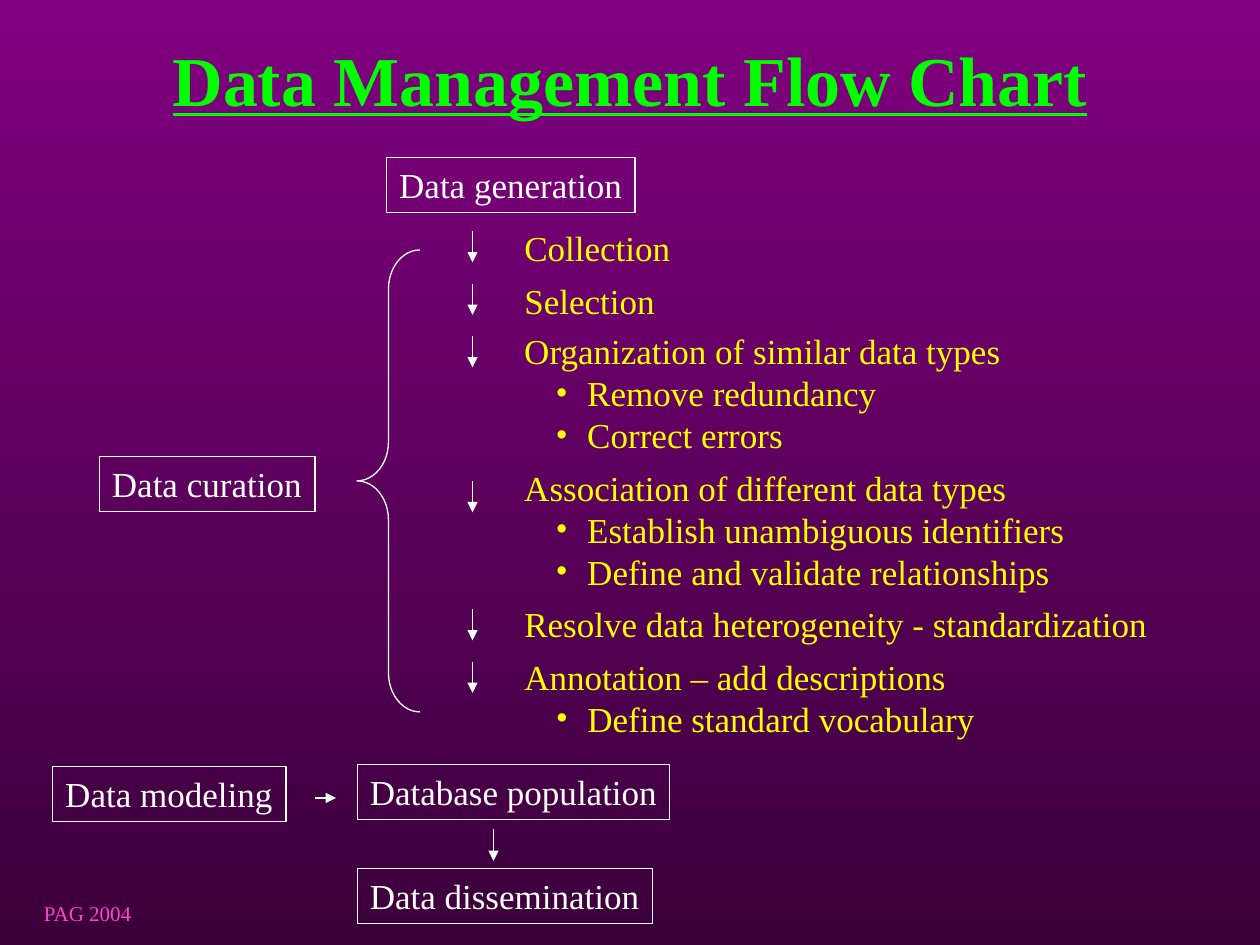
from typing import NamedTuple

from pptx import Presentation
from pptx.dml.color import RGBColor
from pptx.enum.shapes import MSO_CONNECTOR, MSO_SHAPE
from pptx.enum.text import MSO_ANCHOR, MSO_AUTO_SIZE, PP_ALIGN
from pptx.oxml.ns import qn
from pptx.util import Inches, Length, Pt
from lxml.etree import SubElement

WHITE = RGBColor(0xFF, 0xFF, 0xFF)
YELLOW = RGBColor(0xFF, 0xFF, 0x00)
GREEN = RGBColor(0x00, 0xFF, 0x00)
PINK = RGBColor(0xFF, 0x45, 0xCE)
PURPLE = RGBColor(0x80, 0x00, 0x80)
DARK_PURPLE = RGBColor(0x3B, 0x00, 0x3B)

COLUMNS, ROWS = 120, 90
CELL = Inches(10) // COLUMNS
BOX_HEIGHT = 5.25
LINE_HEIGHT = 4
STEP_COLUMN = 48.75
ARROW_COLUMN = 45
ARROW_LENGTH = 3
LINE_WIDTH = Pt(0.75)

FONT = "Times New Roman"
BODY = {"name": FONT, "size": Pt(20)}
TITLE = BODY | {"size": Pt(40), "bold": True, "underline": True}
FOOTER = BODY | {"size": Pt(12)}


class Box(NamedTuple):
    text: str
    column: float
    row: float
    width: float


class Step(NamedTuple):
    text: str
    row: float
    width: float
    arrow_row: float
    details: tuple[str, ...] = ()


class Arrow(NamedTuple):
    column: float
    row: float
    across: float = 0
    down: float = 0


BOXES = [
    Box("Data generation", 36.84, 15, 23.64),
    Box("Data curation", 9.48, 43.5, 20.52),
    Box("Data modeling", 5.03, 73, 22.2),
    Box("Database population", 34.04, 72.8, 29.76),
    Box("Data dissemination", 34.04, 82.68, 28.08),
]
STEPS = [
    Step("Collection", 21, 16.4, 22),
    Step("Selection", 26, 15.7, 27),
    Step("Organization of similar data types", 30.8, 48, 32,
         ("Remove redundancy", "Correct errors")),
    Step("Association of different data types", 43.8, 55, 45.8,
         ("Establish unambiguous identifiers", "Define and validate relationships")),
    Step("Resolve data heterogeneity - standardization", 56.76, 62, 58),
    Step("Annotation – add descriptions", 61.8, 46.5, 63,
         ("Define standard vocabulary",)),
]
ARROWS = [Arrow(ARROW_COLUMN, step.arrow_row, down=ARROW_LENGTH) for step in STEPS] + [
    Arrow(30, 76, across=2),
    Arrow(47, 79, down=ARROW_LENGTH),
]


def grid(*cells: float) -> list[Length]:
    """Turn grid cells into lengths."""
    return [Length(round(cell * CELL)) for cell in cells]


def write(paragraph, text: str, color: RGBColor, formats: dict) -> None:
    """Add one formatted run to a paragraph."""
    run = paragraph.add_run()
    run.text = text
    for name, value in formats.items():
        setattr(run.font, name, value)
    run.font.color.rgb = color


def add_bullet(paragraph) -> None:
    """Give a paragraph a hanging bullet."""
    properties = paragraph._p.get_or_add_pPr()
    properties.set("marL", str(Inches(0.5)))
    properties.set("indent", str(-Inches(0.25)))
    SubElement(properties, qn("a:buFont")).set("typeface", FONT)
    SubElement(properties, qn("a:buChar")).set("char", "•")


def add_text(slide, text: str, place: list[Length], color: RGBColor, formats: dict):
    """Add a text box that fits its single line."""
    shape = slide.shapes.add_textbox(*place)
    frame = shape.text_frame
    frame.word_wrap = False
    frame.auto_size = MSO_AUTO_SIZE.SHAPE_TO_FIT_TEXT
    write(frame.paragraphs[0], text, color, formats)
    return shape


def outline(shape) -> None:
    """Draw a thin white line."""
    shape.line.color.rgb = WHITE
    shape.line.width = LINE_WIDTH


def add_title(slide) -> None:
    """Add the centred heading."""
    shape = add_text(slide, "Data Management Flow Chart", grid(0, 0, COLUMNS, 15), GREEN, TITLE)
    frame = shape.text_frame
    for name, value in {"word_wrap": True, "auto_size": MSO_AUTO_SIZE.NONE,
                        "vertical_anchor": MSO_ANCHOR.MIDDLE}.items():
        setattr(frame, name, value)
    frame.paragraphs[0].alignment = PP_ALIGN.CENTER


def add_box(slide, box: Box) -> None:
    """Add an outlined stage of the flow."""
    place = grid(box.column, box.row, box.width, BOX_HEIGHT)
    outline(add_text(slide, box.text, place, WHITE, BODY))


def add_step(slide, step: Step) -> None:
    """Add a curation step with its bulleted details."""
    height = BOX_HEIGHT + LINE_HEIGHT * len(step.details)
    place = grid(STEP_COLUMN, step.row, step.width, height)
    shape = add_text(slide, step.text, place, YELLOW, BODY)
    for detail in step.details:
        paragraph = shape.text_frame.add_paragraph()
        paragraph.level = 1
        add_bullet(paragraph)
        write(paragraph, detail, YELLOW, BODY)


def add_arrow(slide, arrow: Arrow) -> None:
    """Add a straight arrow."""
    ends = grid(arrow.column, arrow.row, arrow.column + arrow.across, arrow.row + arrow.down)
    connector = slide.shapes.add_connector(MSO_CONNECTOR.STRAIGHT, *ends)
    outline(connector)
    SubElement(connector.line._get_or_add_ln(), qn("a:tailEnd")).set("type", "triangle")
    SubElement(connector._element.spPr, qn("a:effectLst"))


def add_brace(slide) -> None:
    """Add the brace that groups the curation steps."""
    brace = slide.shapes.add_shape(MSO_SHAPE.LEFT_BRACE, *grid(34, 23.8, 6, 44))
    brace.adjustments[0] = 0.62
    brace.shadow.inherit = False
    brace.fill.background()
    outline(brace)


def paint_background(slide) -> None:
    """Fill the background with a downward gradient."""
    fill = slide.background.fill
    fill.gradient()
    fill.gradient_angle = 270
    for stop, color, position in zip(fill.gradient_stops, (PURPLE, DARK_PURPLE), (0, 1)):
        stop.color.rgb = color
        stop.position = position


def main() -> None:
    """Build the flow chart slide."""
    presentation = Presentation()
    presentation.slide_width, presentation.slide_height = grid(COLUMNS, ROWS)
    slide = presentation.slides.add_slide(presentation.slide_layouts[6])
    paint_background(slide)
    add_text(slide, "PAG 2004", grid(3, 85.2, 10.92, 3.6), PINK, FOOTER)
    add_title(slide)
    for box in BOXES:
        add_box(slide, box)
    for step in STEPS:
        add_step(slide, step)
    for arrow in ARROWS:
        add_arrow(slide, arrow)
    add_brace(slide)
    presentation.save("out.pptx")


if __name__ == "__main__":
    main()
